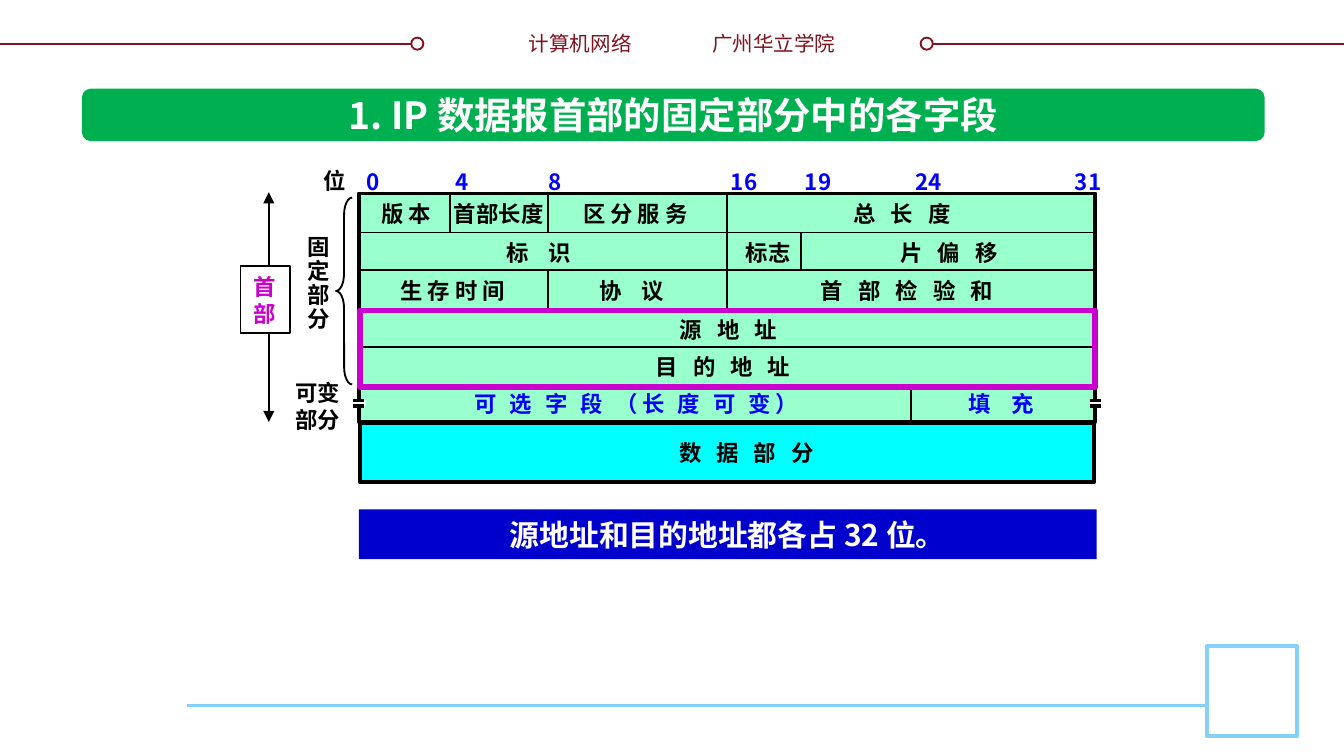
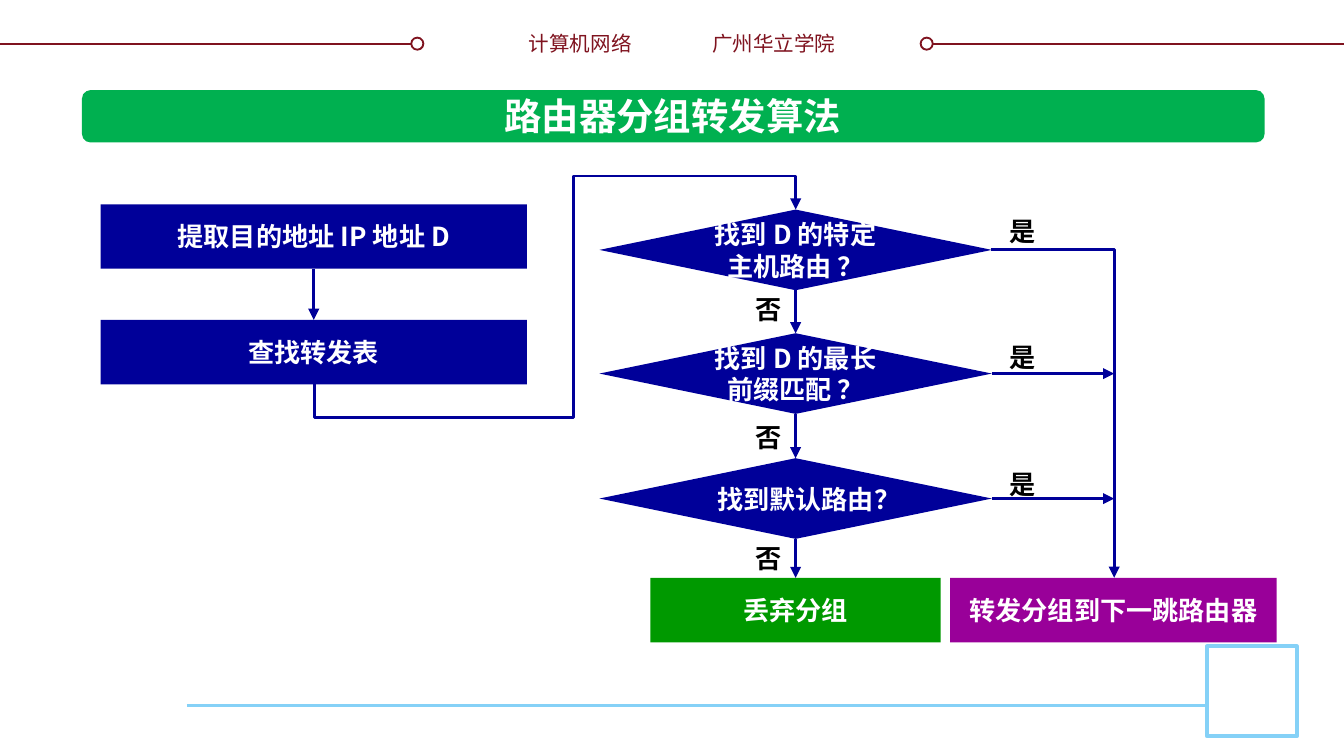
import pptx
import pptx.dml.color
import pptx.enum.shapes
import pptx.enum.text
import pptx.oxml.ns
import pptx.util
from lxml import etree

PX = 9144  # one px is a hundredth of an inch
FONT = "Noto Sans CJK SC"

RGB = pptx.dml.color.RGBColor
BLACK = RGB(0, 0, 0)
WHITE = RGB(0xFF, 0xFF, 0xFF)
MAROON = RGB(0x7F, 0x13, 0x1F)
SKY = RGB(0x85, 0xD1, 0xF7)
GREEN = RGB(0x00, 0xB0, 0x50)
MINT = RGB(0x99, 0xFF, 0xCC)
CYAN = RGB(0x00, 0xFF, 0xFF)
BLUE = RGB(0x00, 0x00, 0xFF)
CAPTION_BLUE = RGB(0x00, 0x00, 0xCC)
MAGENTA = RGB(0xCC, 0x00, 0xCC)
NAVY = RGB(0x00, 0x00, 0x99)
PURPLE = RGB(0x99, 0x00, 0x99)
DARK_GREEN = RGB(0x00, 0x99, 0x00)

SHAPE = pptx.enum.shapes.MSO_SHAPE
CONNECTOR = pptx.enum.shapes.MSO_CONNECTOR
ALIGN = pptx.enum.text.PP_ALIGN
TOP, LEFT, BOTTOM, RIGHT = range(4)


def emu(*lengths):
    return [pptx.util.Emu(n * PX) for n in lengths]


def add_xml(parent, tag, **attrs):
    return etree.SubElement(parent, pptx.oxml.ns.qn(tag), **attrs)


def put_text(sp, text, size, color, bold=True, align=ALIGN.CENTER, wrap=True,
             gap=0, spacing=None):
    """Fill a shape with one paragraph per line; gap is letter spacing in points."""
    tf = sp.text_frame
    tf.word_wrap = wrap
    tf.auto_size = pptx.enum.text.MSO_AUTO_SIZE.NONE
    tf.vertical_anchor = pptx.enum.text.MSO_ANCHOR.MIDDLE
    tf.text = text
    for p in tf.paragraphs:
        p.alignment = align
        p.line_spacing = spacing
        p.font.size = pptx.util.Pt(size)
        p.font.bold = bold
        p.font.color.rgb = color
        p.font.name = FONT
        props = p._p.pPr.find(pptx.oxml.ns.qn("a:defRPr"))
        add_xml(props, "a:ea", typeface=FONT)
        if gap:
            props.set("spc", str(round(gap * 100)))


def label(slide, box, text, size=12, color=BLACK, **style):
    sp = slide.shapes.add_textbox(*emu(*box))
    put_text(sp, text, size, color, wrap=False, **{"align": ALIGN.LEFT, **style})


def shape(slide, kind, box, fill=None, line=None, width=1):
    sp = slide.shapes.add_shape(kind, *emu(*box))
    sp.shadow.inherit = False
    if fill is None:
        sp.fill.background()
    else:
        sp.fill.solid()
        sp.fill.fore_color.rgb = fill
    if line is None:
        sp.line.fill.background()
    else:
        sp.line.color.rgb = line
        sp.line.width = pptx.util.Pt(width)
    return sp


def flow_box(slide, kind, box, text, fill=NAVY):
    sp = shape(slide, kind, box, fill)
    put_text(sp, text, 14, WHITE)
    return sp


def connector(slide, kind, ends, color=BLACK, width=1, head=False, tail=False):
    cxn = slide.shapes.add_connector(kind, *emu(*ends))
    cxn.line.color.rgb = color
    cxn.line.width = pptx.util.Pt(width)
    ln = cxn.line._get_or_add_ln()
    for tag, wanted in (("a:headEnd", head), ("a:tailEnd", tail)):
        if wanted:
            add_xml(ln, tag, type="triangle")
    add_xml(cxn._element.spPr, "a:effectLst")
    return cxn


def line(slide, *ends, **style):
    return connector(slide, CONNECTOR.STRAIGHT, ends, **style)


def flow_arrow(slide, start, site, end=None, to=(0, 0)):
    """Straight arrow from a side of start to the top of end, or to a free point."""
    cxn = line(slide, *to, *to, color=NAVY, width=1.5, tail=True)
    cxn.begin_connect(start, site)
    if end is not None:
        cxn.end_connect(end, TOP)


def flow_elbow(slide, preset, box, adjust=(), **turn):
    """Bent arrow laid out by its unrotated box; turn holds rot and flips."""
    x, y, w, h = box
    cxn = connector(slide, CONNECTOR.ELBOW, (x, y, x + w, y + h), NAVY, 1.5, tail=True)
    sp_pr = cxn._element.spPr
    for name, value in turn.items():
        sp_pr.find(pptx.oxml.ns.qn("a:xfrm")).set(name, value)
    geom = sp_pr.find(pptx.oxml.ns.qn("a:prstGeom"))
    geom.set("prst", preset)
    guides = geom.find(pptx.oxml.ns.qn("a:avLst"))
    for i, value in enumerate(adjust, 1):
        add_xml(guides, "a:gd", name=f"adj{i}", fmla=f"val {round(value * 100000)}")


def draw_frame(slide):
    for x1, x2, ring in ((0, 315, 306), (685, 1000, 685)):
        line(slide, x1, 33, x2, 33, color=MAROON)
        shape(slide, SHAPE.OVAL, (ring, 28, 9, 9), WHITE, MAROON)
    label(slide, (383, 18, 97, 29), "计算机网络", 11, MAROON, bold=False, align=ALIGN.RIGHT)
    label(slide, (520, 18, 116, 29), "广州华立学院", 11, MAROON, bold=False)
    line(slide, 139, 525, 898, 525, color=SKY, width=1.5)
    shape(slide, SHAPE.RECTANGLE, (898, 481, 67, 67), WHITE, SKY, 2)


def move_frame_to_layout(slide):
    """Draw the frame once and hand it to the layout, so every slide shows it."""
    layout = slide.slide_layout
    for ph in list(layout.placeholders):
        if ph.placeholder_format.idx >= 10:
            ph.element.getparent().remove(ph.element)
    draw_frame(slide)
    for sp in list(slide.shapes):
        if not sp.is_placeholder:
            layout.shapes.element.append(sp.element)


def add_title(slide, text, top, left, width):
    bar = shape(slide, SHAPE.ROUNDED_RECTANGLE, (61, top, 880, 39), GREEN)
    bar.adjustments[0] = 0.167
    title = slide.shapes.title
    title.left, title.top, title.width, title.height = emu(left, top - 3, width, 44)
    put_text(title, text, 20, WHITE, wrap=False)
    slide.shapes.element.append(title.element)  # in front of the bar


def row_top(row):
    return (289 + 57 * row) // 2


def draw_header_grid(slide):
    shape(slide, SHAPE.RECTANGLE, (267, 144, 548, 170), MINT, BLACK, 2)
    shape(slide, SHAPE.RECTANGLE, (268, 315, 546, 44), CYAN, BLACK, 2.25)
    for row in range(1, 6):
        line(slide, 267, row_top(row), 816, row_top(row))
    for x, first, last in ((335, 0, 1), (408, 0, 1), (408, 2, 3), (541, 0, 3),
                           (596, 1, 2), (678, 5, 6)):
        line(slide, x, row_top(first), x, row_top(last))

    for bit, x, w in ((0, 263, 30), (4, 329, 30), (8, 398, 30), (16, 534, 41),
                      (19, 589, 41), (24, 671, 41), (31, 790, 41)):
        label(slide, (x, 120, w, 30), str(bit), color=BLUE)
    label(slide, (231, 119, 37, 30), "位")

    fields = (
        (0, 274, 59, "版 本", 0), (0, 328, 87, "首部长度", 0),
        (0, 424, 103, "区 分 服 务", 0), (0, 625, 101, "总 长 度", 2.7),
        (1, 367, 74, "标 识", 4), (1, 545, 54, "标志", 0), (1, 660, 101, "片 偏 移", 2.7),
        (2, 288, 103, "生 存 时 间", 0), (2, 436, 74, "协 议", 4),
        (2, 601, 165, "首 部 检 验 和", 2.7),
        (3, 496, 101, "源 地 址", 2.7), (4, 478, 133, "目 的 地 址", 2.7),
        (5, 343, 290, "可 选 字 段 （长 度 可 变）", 2.15), (5, 711, 74, "填 充", 4),
    )
    for row, x, w, text, gap in fields:
        color = BLUE if row == 5 else BLACK
        top = row_top(row) - 2 * (row == 5)
        label(slide, (x, top, w, 30), text, color=color, gap=gap)
    label(slide, (454, 322, 203, 30), "数 据 部 分", gap=2.7, align=ALIGN.CENTER)

    for x in (263, 811):
        shape(slide, SHAPE.RECTANGLE, (x, 298, 9, 4), WHITE)
        for y in (298, 302):
            line(slide, x, y, x + 8, y, width=2)


def draw_header_parts(slide):
    label(slide, (219, 170, 37, 83), "固\n定\n部\n分", spacing=0.9)
    label(slide, (210, 277, 54, 50), "可变\n部分")
    brace = shape(slide, SHAPE.LEFT_BRACE, (250, 147, 12, 139), line=BLACK)
    brace.adjustments[0] = 1.08
    line(slide, 200, 143, 200, 314, head=True, tail=True)
    box = shape(slide, SHAPE.RECTANGLE, (179, 198, 37, 50), WHITE, BLACK)
    put_text(box, "首\n部", 12, MAGENTA, align=ALIGN.LEFT, wrap=False)


def build_datagram_slide(slide):
    add_title(slide, "1. IP 数据报首部的固定部分中的各字段", 66, 237, 528)
    draw_header_grid(slide)
    draw_header_parts(slide)
    caption = shape(slide, SHAPE.RECTANGLE, (267, 379, 549, 37), CAPTION_BLUE)
    put_text(caption, "源地址和目的地址都各占 32 位。", 16, WHITE)
    shape(slide, SHAPE.RECTANGLE, (268, 231, 547, 57), line=MAGENTA, width=3)


def build_forwarding_slide(slide):
    add_title(slide, "路由器分组转发算法", 67, 360, 281)
    extract = flow_box(slide, SHAPE.RECTANGLE, (75, 152, 317, 48), "提取目的地址 IP 地址 D")
    lookup = flow_box(slide, SHAPE.RECTANGLE, (75, 238, 317, 48), "查找转发表")
    questions = ("找到 D 的特定主机路由 ？", "找到 D 的最长前缀匹配 ？", "找到默认路由？")
    tests = [flow_box(slide, SHAPE.DIAMOND, (446, 156 + 185 * i // 2, 292, 60), text)
             for i, text in enumerate(questions)]
    flow_box(slide, SHAPE.RECTANGLE, (707, 430, 243, 48), "转发分组到下一跳路由器", PURPLE)
    discard = flow_box(slide, SHAPE.RECTANGLE, (484, 430, 216, 48), "丢弃分组", DARK_GREEN)

    flow_arrow(slide, extract, BOTTOM, lookup)
    for test, following in zip(tests, tests[1:] + [discard]):
        flow_arrow(slide, test, BOTTOM, following)
    for test, y in zip(tests[1:], (278, 371)):
        flow_arrow(slide, test, RIGHT, to=(829, y))
    flow_elbow(slide, "bentConnector5", (348, 42, 130, 358), (-0.192, 0.539, 1.192),
               rot="5400000", flipH="1", flipV="1")
    flow_elbow(slide, "bentConnector2", (737, 186, 92, 244))

    for i, no_top in enumerate((213, 308, 398)):
        label(slide, (741, 155 + 94 * i, 40, 34), "是", 14)
        label(slide, (552, no_top, 40, 34), "否", 14)


def main():
    prs = pptx.Presentation()
    prs.slide_width = pptx.util.Emu(1000 * PX)
    prs.slide_height = prs.slide_width * 9 // 16
    title_only = prs.slide_layouts[5]
    datagram = prs.slides.add_slide(title_only)
    move_frame_to_layout(datagram)
    build_datagram_slide(datagram)
    build_forwarding_slide(prs.slides.add_slide(title_only))
    prs.save("out.pptx")


if __name__ == "__main__":
    main()
